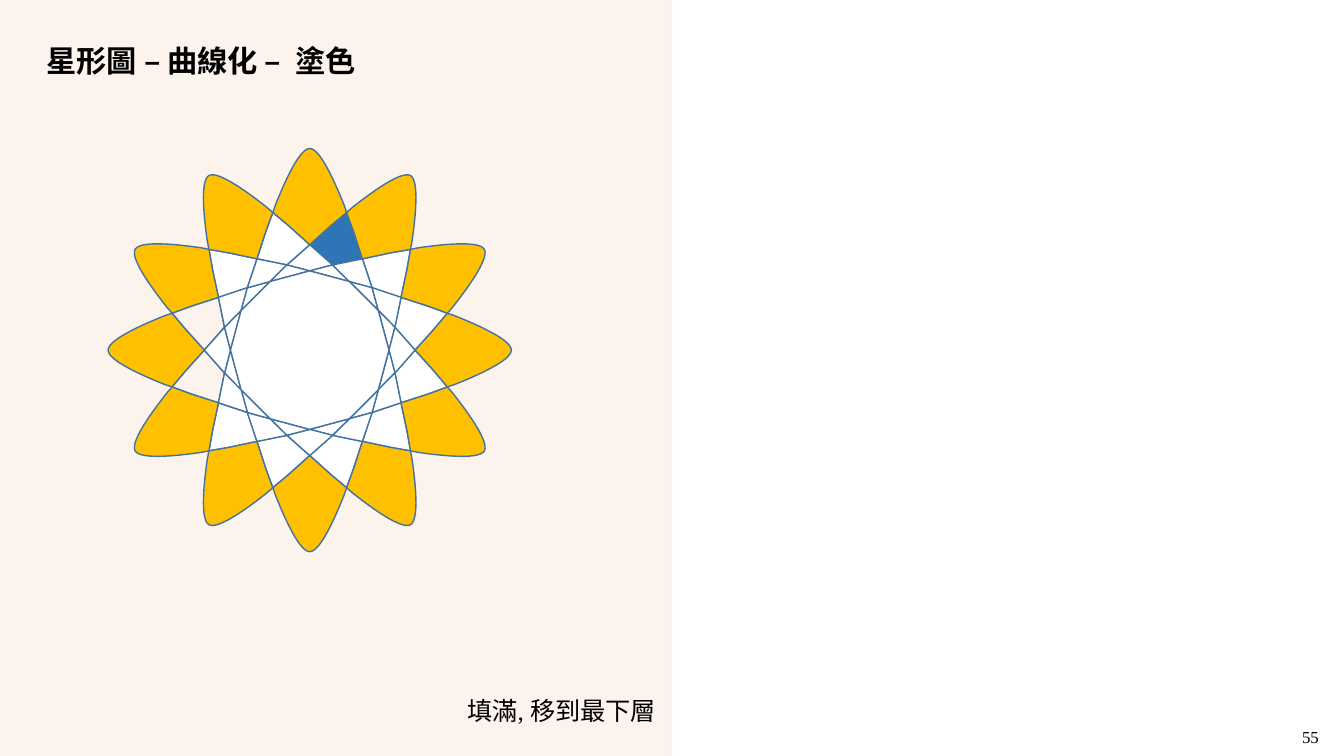
from math import cos, radians, sin

from lxml import etree
from pptx import Presentation
from pptx.dml.color import RGBColor
from pptx.enum.shapes import MSO_CONNECTOR, MSO_SHAPE
from pptx.enum.text import MSO_ANCHOR as Anchor, PP_ALIGN as Align
from pptx.oxml.ns import qn
from pptx.util import Pt

COLORS = {
    "panel": "F4B183", "divider": "FBE5D6", "outline": "43739E", "petal": "FFC000",
    "accent": "2E75B6", "white": "FFFFFF", "text": "000000",
}
CJK_FONT = "Noto Sans CJK SC"
LATIN_FONT = "Times New Roman"
POINTS = 12
STEP = 360 / POINTS
HALF = STEP / 2
ACCENT_KITE = 0
OPEN_KITES = (8, 9)
SHOULDER, BEND, NOTCH, CROSSING, HUB = 101.8, 90.2, 75.3, 63, 56.6
BEND_ANGLE = 9.65
TIP_CURVE = ((0, -144), (6.2, -144), (15, -127.4), (24.4, -104))
TIP_SAMPLES = 12


def rgb(name):
    """Return the named colour."""
    return RGBColor.from_string(COLORS[name])


def set_alpha(shape, percent):
    """Make the shape's only solid colour partly transparent."""
    color = next(shape._element.spPr.iter(qn("a:srgbClr")))
    etree.SubElement(color, qn("a:alpha")).set("val", str(percent * 1000))


def polar(radius, angle):
    """Return the offset at a radius and a clockwise angle from the top."""
    return radius * sin(radians(angle)), -radius * cos(radians(angle))


def rotate(point, angle):
    """Turn an offset clockwise about the star's centre."""
    x, y = point
    turn = radians(angle)
    return x * cos(turn) - y * sin(turn), x * sin(turn) + y * cos(turn)


def tip_point(t):
    """Return the point at t on the right half of the rounded tip."""
    weights = ((1 - t) ** 3, 3 * t * (1 - t) ** 2, 3 * t * t * (1 - t), t ** 3)
    return tuple(sum(w * p[axis] for w, p in zip(weights, TIP_CURVE)) for axis in (0, 1))


def petal_outline():
    """Return the outline of the top petal."""
    right = [tip_point(i / TIP_SAMPLES) for i in range(TIP_SAMPLES + 1)]
    right += [polar(SHOULDER, HALF), polar(BEND, BEND_ANGLE), polar(NOTCH, 0)]
    return right + [(-x, y) for x, y in right[-2:0:-1]]


def draw_cell(shapes, center, outline, angle, color):
    """Draw one closed cell of the star, turned by the angle."""
    turned = [rotate(point, angle) for point in outline]
    placed = [((center[0] + x) * 100, (center[1] + y) * 100) for x, y in turned]
    builder = shapes.build_freeform(*placed[0], scale=Pt(1) / 100)
    builder.add_line_segments(placed[1:], close=True)
    cell = builder.convert_to_shape()
    cell.shadow.inherit = False
    if color:
        cell.fill.solid()
        cell.fill.fore_color.rgb = rgb(color)
    else:
        cell.fill.background()
    cell.line.color.rgb = rgb("outline")
    cell.line.width = Pt(1)


def kite_color(index):
    """Return the colour of an outer kite, or None for an open one."""
    if index == ACCENT_KITE:
        return "accent"
    return None if index in OPEN_KITES else "white"


def draw_star(page, box):
    """Draw the twelve-pointed star in the middle of the box."""
    left, top, width, height = box
    center = left + width / 2, top + height / 2
    shapes = page.shapes
    outer_kite = [
        polar(SHOULDER, HALF), polar(BEND, STEP - BEND_ANGLE), polar(NOTCH, STEP),
        polar(CROSSING, HALF), polar(NOTCH, 0), polar(BEND, BEND_ANGLE),
    ]
    inner_kite = [polar(NOTCH, 0), polar(CROSSING, HALF), polar(HUB, 0), polar(CROSSING, -HALF)]
    triangle = [polar(CROSSING, HALF), polar(HUB, STEP), polar(HUB, 0)]
    hub = [polar(HUB, i * STEP) for i in range(POINTS)]
    for i in range(POINTS):
        draw_cell(shapes, center, outer_kite, i * STEP, kite_color(i))
        draw_cell(shapes, center, inner_kite, i * STEP, "white")
        draw_cell(shapes, center, triangle, i * STEP, "white")
    draw_cell(shapes, center, hub, 0, "white")
    petals = shapes.add_group_shape()
    for i in range(POINTS):
        draw_cell(petals.shapes, center, petal_outline(), i * STEP, "petal")


def write(shape, text, size, font, align, bold=False):
    """Set the shape's text and format it."""
    frame = shape.text_frame
    frame.word_wrap = True
    frame.text = text
    para = frame.paragraphs[0]
    para.alignment = align
    span = para.runs[0]
    span.font.size = Pt(size)
    span.font.name = font
    span.font.bold = bold
    span.font.color.rgb = rgb("text")
    east = etree.SubElement(span._r.get_or_add_rPr(), qn("a:ea"))
    east.set("typeface", CJK_FONT)


def draw_panel(page, box):
    """Draw the tinted panel behind everything, and the line on its right edge."""
    left, top, width, height = box
    panel = page.shapes.add_shape(MSO_SHAPE.RECTANGLE, *map(Pt, box))
    panel.shadow.inherit = False
    panel.fill.solid()
    panel.fill.fore_color.rgb = rgb("panel")
    panel.line.fill.background()
    set_alpha(panel, 14)
    page.shapes._spTree.insert(2, panel._element)
    right = Pt(left + width)
    divider = page.shapes.add_connector(
        MSO_CONNECTOR.STRAIGHT, right, Pt(top + height), right, Pt(top))
    divider.line.color.rgb = rgb("divider")
    divider.line.width = Pt(0.25)
    set_alpha(divider, 50)
    etree.SubElement(divider._element.spPr, qn("a:effectLst"))


def draw_title(page, box):
    """Place the title placeholder in the box."""
    title = page.shapes.title
    title.left, title.top, title.width, title.height = map(Pt, box)
    write(title, "星形圖 – 曲線化 –  塗色", 21.6, CJK_FONT, Align.LEFT, bold=True)
    title.text_frame.vertical_anchor = Anchor.MIDDLE
    title.text_frame.paragraphs[0].line_spacing = 0.9


def draw_caption(page, box):
    """Write the instruction in a clear rounded box."""
    caption = page.shapes.add_shape(MSO_SHAPE.ROUNDED_RECTANGLE, *map(Pt, box))
    caption.shadow.inherit = False
    caption.fill.background()
    caption.line.fill.background()
    write(caption, "填滿, 移到最下層", 18, LATIN_FONT, Align.RIGHT)
    caption.text_frame.vertical_anchor = Anchor.MIDDLE


def draw_page_number(page, box):
    """Write the page number."""
    number = page.shapes.add_textbox(*map(Pt, box))
    write(number, "55", 12, LATIN_FONT, Align.LEFT)


def main():
    """Build the slide and save it."""
    deck = Presentation()
    deck.slide_width, deck.slide_height = Pt(960), Pt(540)
    page = deck.slides.add_slide(deck.slide_layouts[5])
    draw_panel(page, (0, 0, 480, 540))
    draw_title(page, (26, 29, 428.4, 31.5))
    draw_star(page, (77.25, 106.1, 288, 288))
    draw_caption(page, (324, 491, 153.4, 32.4))
    draw_page_number(page, (923, 515.5, 26.6, 21.6))
    deck.save("out.pptx")


if __name__ == "__main__":
    main()
